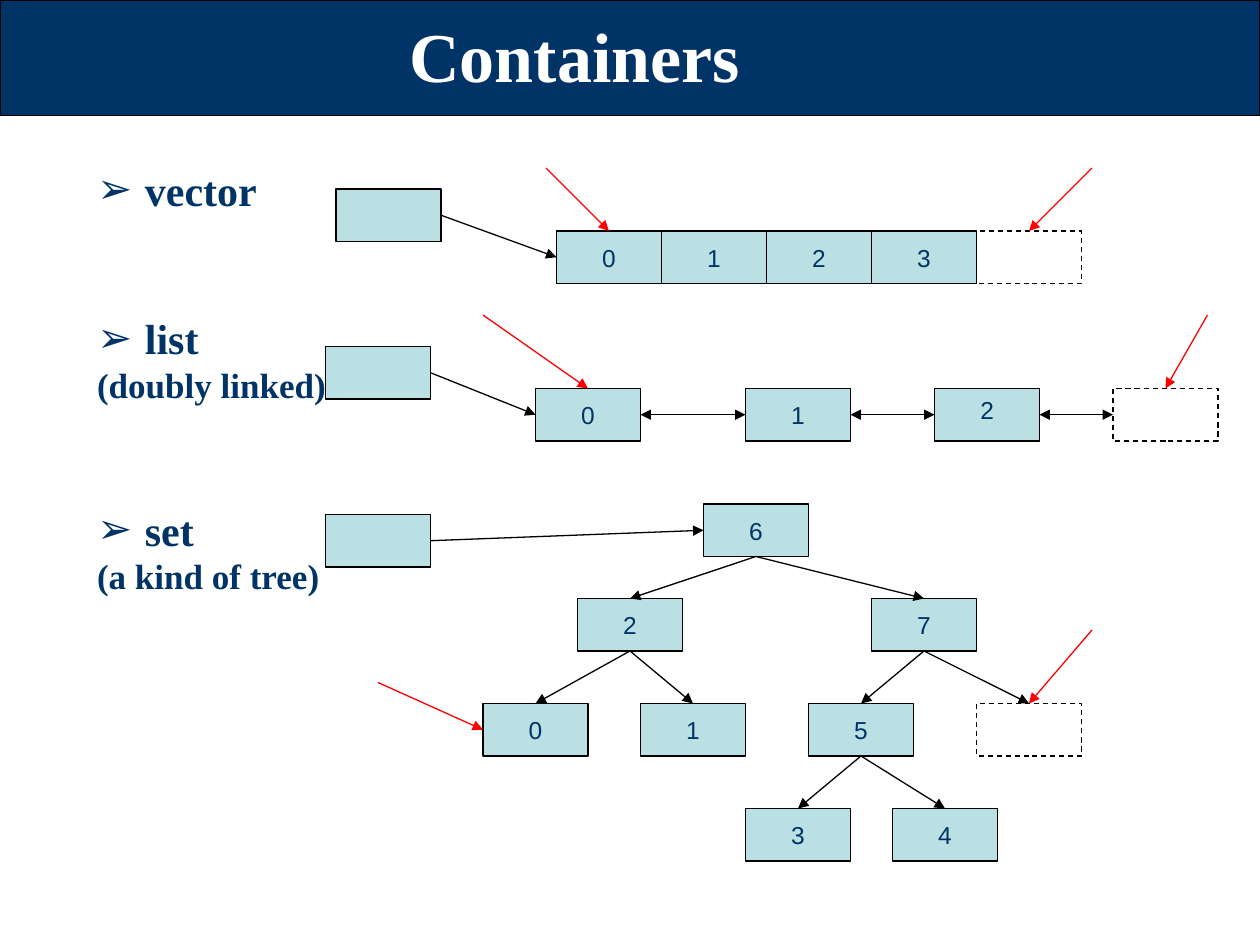
"""Build the Containers slide: vector, list and set drawn as linked boxes."""
import lxml.etree
import pptx
import pptx.dml.color
import pptx.enum.dml
import pptx.enum.shapes
import pptx.enum.text
import pptx.oxml
import pptx.oxml.ns
import pptx.util

COLORS = {"navy": "003366", "teal": "BBE0E3", "black": "000000", "red": "FF0000", "white": "FFFFFF"}
SERIF, SANS = "Times New Roman", "Arial"
COLUMNS, ROWS = 120, 90
BOX_WIDTH, BOX_HEIGHT = 10, 5
TOP, LEFT, BOTTOM, RIGHT = range(4)

TITLE = "Containers"
TOPICS = [("vector", None), ("list", "(doubly linked)"), ("set", "(a kind of tree)")]

HANDLES = {"vector": (32, 18), "list": (31, 33), "set": (31, 49)}
VECTOR = {f"vector {i}": (53 + BOX_WIDTH * i, 22, str(i)) for i in range(4)}
LIST = {"list 0": (51, 37, "0"), "list 1": (71, 37, "1"), "list 2": (89, 37, "2")}
TREE = {
    "set 6": (67, 48, "6"), "set 2": (55, 57, "2"), "set 7": (83, 57, "7"),
    "set 0": (46, 67, "0"), "set 1": (61, 67, "1"), "set 5": (77, 67, "5"),
    "set 3": (71, 77, "3"), "set 4": (85, 77, "4"),
}
ENDS = {"vector end": (93, 22), "list end": (106, 37), "set end": (93, 67)}
RAISED_LABELS = ["list 2"]

HANDLE_LINKS = [("vector", "vector 0"), ("list", "list 0"), ("set", "set 6")]
LIST_LINKS = [("list 0", "list 1"), ("list 1", "list 2"), ("list 2", "list end")]
TREE_LINKS = [
    ("set 6", "set 2"), ("set 6", "set 7"), ("set 2", "set 0"), ("set 2", "set 1"),
    ("set 7", "set 5"), ("set 7", "set end"), ("set 5", "set 3"), ("set 5", "set 4"),
]
ITERATORS = [
    ((52, 16), "vector 0", TOP), ((104, 16), "vector end", TOP),
    ((46, 30), "list 0", TOP), ((115, 30), "list end", TOP),
    ((36, 65), "set 0", LEFT), ((104, 60), "set end", TOP),
]


def grid(cells):
    return pptx.util.Emu(round(cells * pptx.util.Inches(10) / COLUMNS))


def rgb(name):
    return pptx.dml.color.RGBColor.from_string(COLORS[name])


def add_run(paragraph, text, size, font, color, bold=False):
    run = paragraph.add_run()
    run.text = text
    run.font.size = pptx.util.Pt(size)
    run.font.name = font
    run.font.bold = bold
    run.font.color.rgb = rgb(color)


def place(shape, left, top, width, height):
    shape.left, shape.top, shape.width, shape.height = map(
        pptx.util.Inches, (left, top, width, height))


def add_rectangle(slide, left, top, width, height, fill):
    shape = slide.shapes.add_shape(
        pptx.enum.shapes.MSO_SHAPE.RECTANGLE, grid(left), grid(top), grid(width), grid(height))
    shape.shadow.inherit = False
    shape.line.color.rgb = rgb("black")
    shape.line.width = pptx.util.Pt(0.75)
    if fill:
        shape.fill.solid()
        shape.fill.fore_color.rgb = rgb(fill)
    else:
        shape.fill.background()
        shape.line.dash_style = pptx.enum.dml.MSO_LINE.DASH
    return shape


def write_label(shape, label):
    frame = shape.text_frame
    frame.word_wrap = False
    frame.vertical_anchor = pptx.enum.text.MSO_ANCHOR.MIDDLE
    paragraph = frame.paragraphs[0]
    paragraph.alignment = pptx.enum.text.PP_ALIGN.CENTER
    add_run(paragraph, label, 14, SANS, "navy")


def add_arrow(slide, start, target, target_side, color="black", start_side=None, both=False):
    begin = (0, 0) if start_side is not None else start
    connector = slide.shapes.add_connector(
        pptx.enum.shapes.MSO_CONNECTOR.STRAIGHT, grid(begin[0]), grid(begin[1]), 0, 0)
    if start_side is not None:
        connector.begin_connect(start, start_side)
    connector.end_connect(target, target_side)
    connector.line.color.rgb = rgb(color)
    connector.line.width = pptx.util.Pt(0.75)
    line = connector.line.color and connector.element.spPr.find(pptx.oxml.ns.qn("a:ln"))
    for tag in ["a:headEnd", "a:tailEnd"] if both else ["a:tailEnd"]:
        lxml.etree.SubElement(line, pptx.oxml.ns.qn(tag), type="triangle")
    lxml.etree.SubElement(connector.element.spPr, pptx.oxml.ns.qn("a:effectLst"))


def add_topic_line(paragraph, text, size, space_before, bullet):
    paragraph.line_spacing = 0.8
    paragraph.space_before = pptx.util.Pt(space_before)
    add_run(paragraph, text, size, SERIF, "navy", bold=True)
    properties = paragraph._p.get_or_add_pPr()
    properties.set("marL", str(pptx.util.Inches(0.38)))
    properties.set("indent", str(pptx.util.Inches(-0.38)))
    if bullet:
        color = lxml.etree.SubElement(properties, pptx.oxml.ns.qn("a:buClr"))
        lxml.etree.SubElement(color, pptx.oxml.ns.qn("a:srgbClr"), val=COLORS["navy"])
        lxml.etree.SubElement(properties, pptx.oxml.ns.qn("a:buFont"), typeface=SANS)
        lxml.etree.SubElement(properties, pptx.oxml.ns.qn("a:buChar"), char="➢")
    else:
        lxml.etree.SubElement(properties, pptx.oxml.ns.qn("a:buNone"))


def add_texts(slide):
    title, body = slide.placeholders
    bar = add_rectangle(slide, 0, 0, COLUMNS, 11, "navy")
    title.element.addprevious(bar.element)
    place(title, 0.06, 0, 9, 0.86)
    place(body, 0.67, 1.33, 2.17, 4.95)
    for placeholder in (title, body):
        placeholder.text_frame.auto_size = pptx.enum.text.MSO_AUTO_SIZE.NONE
    title.text_frame.vertical_anchor = pptx.enum.text.MSO_ANCHOR.MIDDLE
    heading = title.text_frame.paragraphs[0]
    heading.alignment = pptx.enum.text.PP_ALIGN.CENTER
    add_run(heading, TITLE, 40, SERIF, "white", bold=True)
    frame = body.text_frame
    for index, (topic, remark) in enumerate(TOPICS):
        paragraph = frame.add_paragraph() if index else frame.paragraphs[0]
        add_topic_line(paragraph, topic, 24, 62 if index else 6, True)
        if remark:
            add_topic_line(frame.add_paragraph(), remark, 20, 5, False)


def add_diagrams(slide):
    boxes = {}
    for name, (left, top) in HANDLES.items():
        boxes[name] = add_rectangle(slide, left, top, BOX_WIDTH, BOX_HEIGHT, "teal")
    for name, (left, top, label) in {**VECTOR, **LIST, **TREE}.items():
        boxes[name] = add_rectangle(slide, left, top, BOX_WIDTH, BOX_HEIGHT, "teal")
        holder = boxes[name]
        if name in RAISED_LABELS:
            holder = slide.shapes.add_textbox(
                grid(left + 3.17), grid(top), grid(3.7), grid(4.1))
        write_label(holder, label)
    for name, (left, top) in ENDS.items():
        boxes[name] = add_rectangle(slide, left, top, BOX_WIDTH, BOX_HEIGHT, None)

    for start, target in HANDLE_LINKS:
        add_arrow(slide, boxes[start], boxes[target], LEFT, start_side=RIGHT)
    for start, target in LIST_LINKS:
        add_arrow(slide, boxes[start], boxes[target], LEFT, start_side=RIGHT, both=True)
    for start, target in TREE_LINKS:
        add_arrow(slide, boxes[start], boxes[target], TOP, start_side=BOTTOM)
    for start, target, side in ITERATORS:
        add_arrow(slide, start, boxes[target], side, color="red")


def main():
    presentation = pptx.Presentation()
    presentation.slide_width, presentation.slide_height = grid(COLUMNS), grid(ROWS)
    slide = presentation.slides.add_slide(presentation.slide_layouts[1])
    add_texts(slide)
    add_diagrams(slide)
    presentation.save("out.pptx")


if __name__ == "__main__":
    main()
